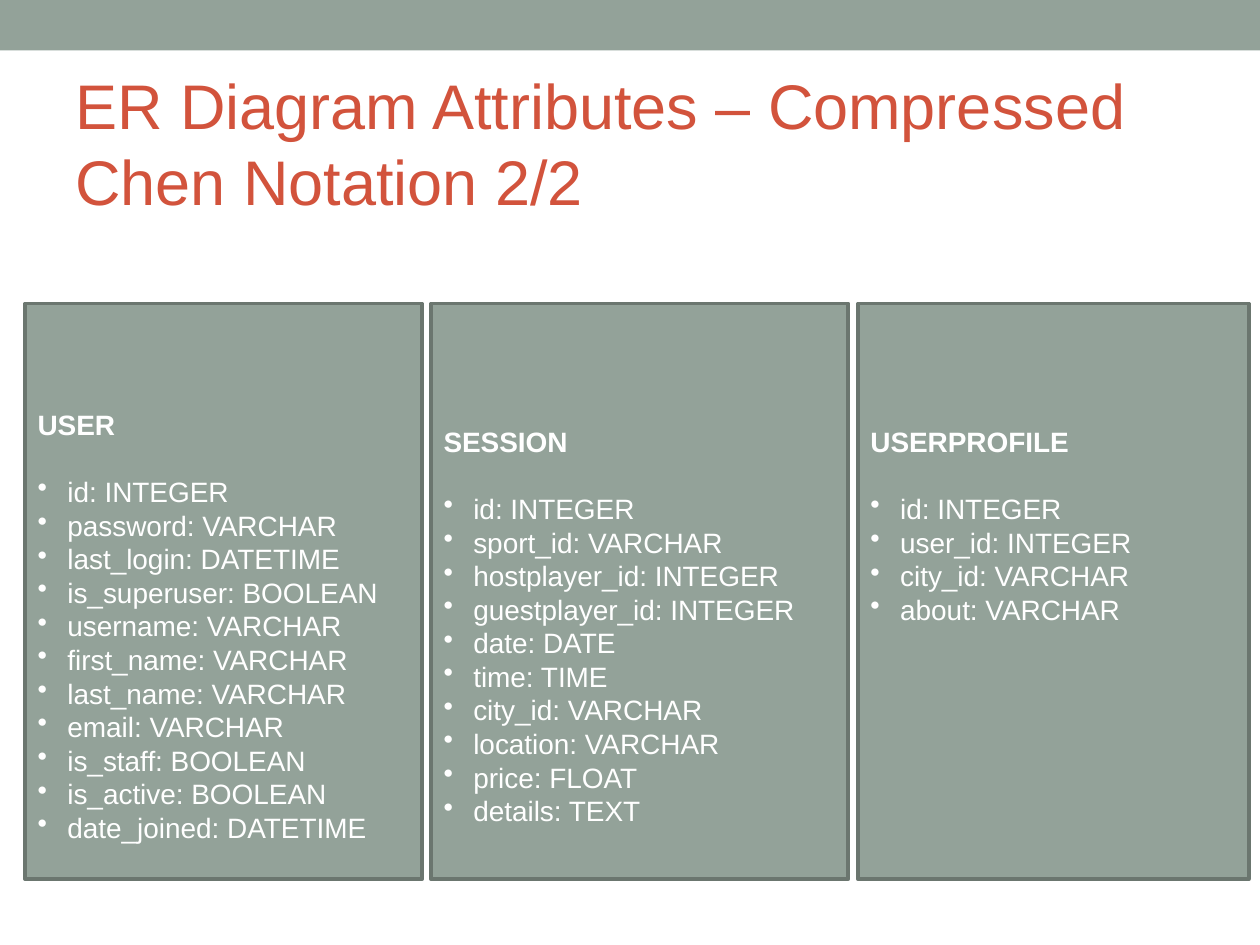
from pptx import Presentation
from pptx.dml.color import RGBColor
from pptx.enum.shapes import MSO_SHAPE
from pptx.enum.text import MSO_ANCHOR, PP_ALIGN
from pptx.oxml.ns import qn
from pptx.util import Pt
from lxml.etree import SubElement

SAGE, EDGE, RUST, WHITE = "93A299", "6B766F", "D2533C", "FFFFFF"


def color(code):
    return RGBColor.from_string(code)


def style(para, size, code, pitch):
    para.alignment = PP_ALIGN.LEFT
    para.line_spacing = Pt(pitch)
    para.font.name = "Arial"
    para.font.size = Pt(size)
    para.font.color.rgb = color(code)


deck = Presentation()
deck.slide_width, deck.slide_height = Pt(720), Pt(540)
slide = deck.slides.add_slide(deck.slide_layouts[6])
shapes = slide.shapes

band = shapes.add_shape(MSO_SHAPE.RECTANGLE, Pt(0), Pt(0), Pt(720), Pt(28.8))
band.shadow.inherit = False
band.fill.solid()
band.fill.fore_color.rgb = color(SAGE)
band.line.fill.background()

title = shapes.add_textbox(Pt(36), Pt(42.5), Pt(648), Pt(77.8)).text_frame
title.word_wrap = True
title.vertical_anchor = MSO_ANCHOR.MIDDLE
title.text = "ER Diagram Attributes – Compressed Chen Notation 2/2"
style(title.paragraphs[0], 36, RUST, 43.2)

tables = [
    ("USER", 14.4, 226.8, 59.3, [
        "id: INTEGER", "password: VARCHAR", "last_login: DATETIME",
        "is_superuser: BOOLEAN", "username: VARCHAR", "first_name: VARCHAR",
        "last_name: VARCHAR", "email: VARCHAR", "is_staff: BOOLEAN",
        "is_active: BOOLEAN", "date_joined: DATETIME"]),
    ("SESSION", 246.4, 238.4, 69, [
        "id: INTEGER", "sport_id: VARCHAR", "hostplayer_id: INTEGER",
        "guestplayer_id: INTEGER", "date: DATE", "time: TIME",
        "city_id: VARCHAR", "location: VARCHAR", "price: FLOAT",
        "details: TEXT"]),
    ("USERPROFILE", 490.3, 223.3, 69, [
        "id: INTEGER", "user_id: INTEGER", "city_id: VARCHAR",
        "about: VARCHAR"]),
]

for name, left, width, inset, fields in tables:
    box = shapes.add_shape(MSO_SHAPE.RECTANGLE, Pt(left), Pt(173.5), Pt(width), Pt(329))
    box.shadow.inherit = False
    box.fill.solid()
    box.fill.fore_color.rgb = color(SAGE)
    box.line.color.rgb = color(EDGE)
    box.line.width = Pt(2.07)
    frame = box.text_frame
    frame.word_wrap = True
    frame.vertical_anchor = MSO_ANCHOR.TOP
    frame.margin_top = Pt(inset)
    head = frame.paragraphs[0]
    head.text = name
    style(head, 16, WHITE, 19.2)
    head.font.bold = True
    head.space_after = Pt(19.2)
    for field in fields:
        para = frame.add_paragraph()
        para.text = field
        style(para, 16, WHITE, 19.2)
        props = para._p.get_or_add_pPr()
        props.set("marL", str(Pt(17)))
        props.set("indent", str(-Pt(17)))
        mark = SubElement(props, qn("a:buChar"))
        mark.set("char", "•")
        props.find(qn("a:defRPr")).addprevious(mark)

deck.save("out.pptx")
